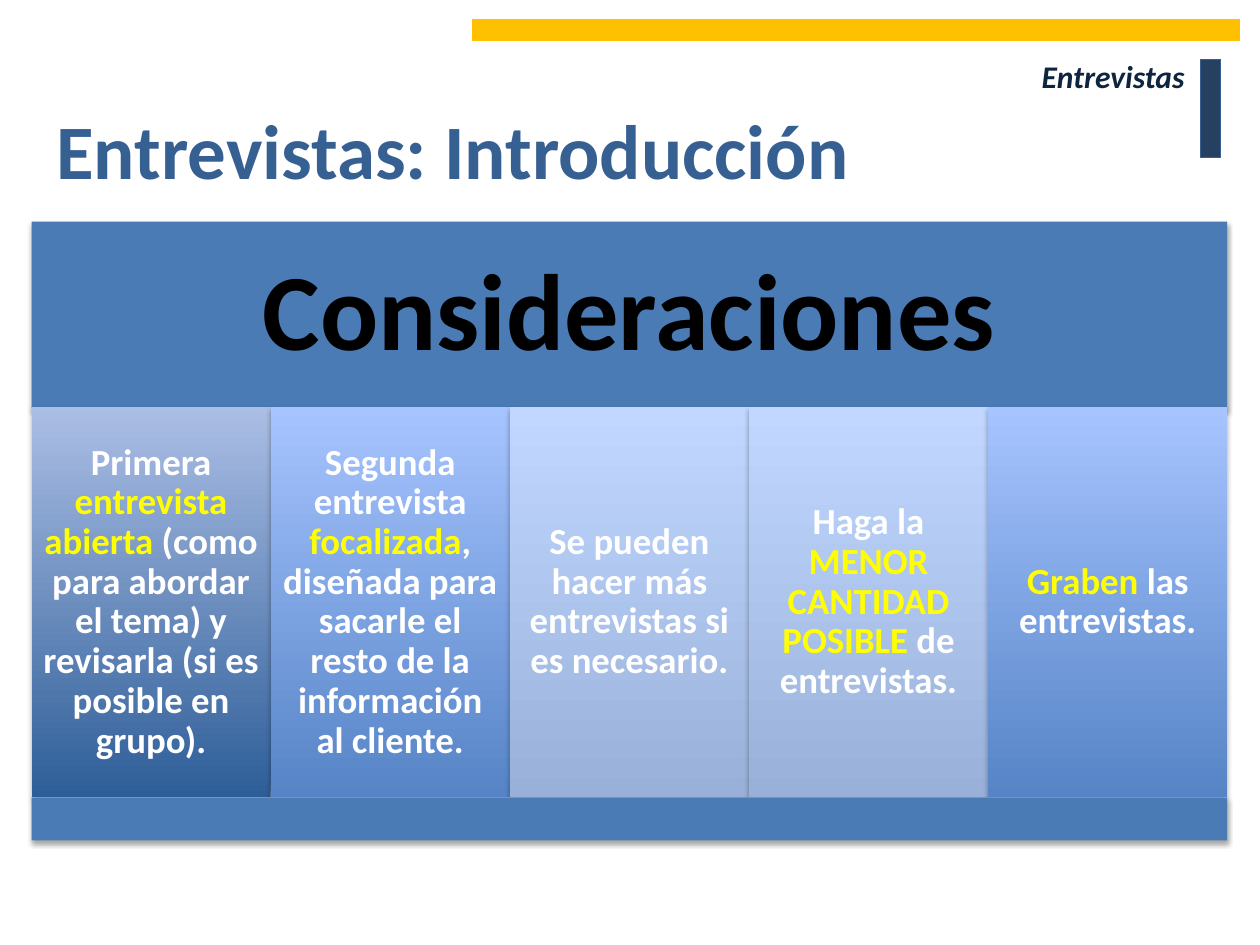
import dataclasses
from typing import Optional

import lxml.etree
import pptx
import pptx.dml.color
import pptx.enum.shapes
import pptx.enum.text
import pptx.oxml
import pptx.oxml.ns
import pptx.util

Inches = pptx.util.Inches
Pt = pptx.util.Pt
RGBColor = pptx.dml.color.RGBColor
PP_ALIGN = pptx.enum.text.PP_ALIGN
MIDDLE = pptx.enum.text.MSO_ANCHOR.MIDDLE

FONT = "Calibri"
WHITE = RGBColor(0xFF, 0xFF, 0xFF)
BLACK = RGBColor(0x00, 0x00, 0x00)
YELLOW = RGBColor(0xFF, 0xFF, 0x00)
GOLD = RGBColor(0xFF, 0xC0, 0x00)
NAVY = RGBColor(0x25, 0x40, 0x61)
INK = RGBColor(0x0F, 0x24, 0x3E)
BLUE = RGBColor(0x37, 0x60, 0x92)
BAND = RGBColor(0x4B, 0x7B, 0xB5)

# Column gradients, bottom colour then top colour
DEEP = (RGBColor(0x2E, 0x5E, 0x98), RGBColor(0xAB, 0xBE, 0xE5))
BRIGHT = (RGBColor(0x56, 0x84, 0xC6), RGBColor(0xA6, 0xC4, 0xFF))
PALE = (RGBColor(0x99, 0xB1, 0xD9), RGBColor(0xC1, 0xD7, 0xFF))

LEFT, WIDTH = 0.25, 9.49
HEADER_TOP, COLUMN_TOP, FOOTER_TOP = 1.76, 3.23, 6.33


@dataclasses.dataclass
class Column:
    gradient: tuple[RGBColor, RGBColor]
    before: str = ""
    key: str = ""
    after: str = ""


COLUMNS = [
    Column(DEEP, "Primera ", "entrevista abierta ",
           "(como para abordar el tema) y revisarla (si es posible en grupo)."),
    Column(BRIGHT, "Segunda entrevista ", "focalizada",
           ", diseñada para sacarle el resto de la información al cliente."),
    Column(PALE, "Se pueden hacer más entrevistas si es necesario."),
    Column(PALE, "Haga la ", "MENOR CANTIDAD POSIBLE ", "de entrevistas."),
    Column(BRIGHT, "", "Graben", " las entrevistas."),
]


def add_rect(s, x: float, y: float, w: float, h: float,
             fill: Optional[RGBColor] = None, line: Optional[RGBColor] = None):
    sp = s.shapes.add_shape(pptx.enum.shapes.MSO_SHAPE.RECTANGLE,
                            Inches(x), Inches(y), Inches(w), Inches(h))
    sp.shadow.inherit = False
    if fill is not None:
        sp.fill.solid()
        sp.fill.fore_color.rgb = fill
    if line is None:
        sp.line.fill.background()
    else:
        sp.line.color.rgb = line
        sp.line.width = Pt(0.75)
    return sp


def add_shadow(sp) -> None:
    effects = sp._element.spPr.find(pptx.oxml.ns.qn("a:effectLst"))
    effects.append(pptx.oxml.parse_xml(
        f'<a:outerShdw {pptx.oxml.ns.nsdecls("a")} blurRad="{Pt(3.1)}" '
        f'dist="{Pt(1.8)}" dir="5400000" rotWithShape="0">'
        '<a:srgbClr val="000000"><a:alpha val="35000"/></a:srgbClr>'
        '</a:outerShdw>'))


def set_text(sp, runs: list[tuple[str, RGBColor]], size: float,
             align: PP_ALIGN, inset: Optional[float] = None,
             wrap: bool = True, italic: bool = False):
    tf = sp.text_frame
    tf.word_wrap = wrap
    tf.vertical_anchor = MIDDLE
    if inset is not None:
        tf.margin_left = tf.margin_right = Inches(inset)
        tf.margin_top = tf.margin_bottom = Inches(inset)
    p = tf.paragraphs[0]
    p.alignment = align
    p.font.name, p.font.size = FONT, Pt(size)
    p.font.bold, p.font.italic = True, italic
    for text, color in runs:
        r = p.add_run()
        r.text = text
        r.font.color.rgb = color
    return p


def add_label(s, x: float, y: float, w: float, h: float, text: str,
              color: RGBColor, size: float, align: PP_ALIGN,
              wrap: bool = True, italic: bool = False):
    sp = s.shapes.add_textbox(Inches(x), Inches(y), Inches(w), Inches(h))
    set_text(sp, [(text, color)], size, align, wrap=wrap, italic=italic)
    return sp


def add_column(s, x: float, w: float, column: Column) -> None:
    sp = add_rect(s, x, COLUMN_TOP, w, FOOTER_TOP - COLUMN_TOP)
    sp.fill.gradient()
    sp.fill.gradient_angle = 90
    for stop, color in zip(sp.fill.gradient_stops, column.gradient):
        stop.color.rgb = color
    add_shadow(sp)
    parts = [(column.before, WHITE), (column.key, YELLOW), (column.after, WHITE)]
    p = set_text(sp, [part for part in parts if part[0]], 21,
                 PP_ALIGN.CENTER, inset=0.09)
    p.line_spacing = 0.9


def main() -> None:
    prs = pptx.Presentation()
    prs.slide_width, prs.slide_height = Inches(10), Inches(7.5)
    s = prs.slides.add_slide(prs.slide_layouts[6])

    # Corner decoration and titles
    add_rect(s, 9.53, 0.47, 0.16, 0.78, NAVY, BLUE)
    add_rect(s, 3.75, 0.16, 6.09, 0.16, GOLD, GOLD)
    add_label(s, 8.07, 0.3, 1.43, 0.61, "Entrevistas", INK, 18,
              PP_ALIGN.RIGHT, italic=True)
    title = add_label(s, 0.35, 0.76, 6.6, 0.84, "Entrevistas: Introducción",
                      BLUE, 44, PP_ALIGN.LEFT, wrap=False)
    title.text_frame.auto_size = pptx.enum.text.MSO_AUTO_SIZE.SHAPE_TO_FIT_TEXT

    # Header band
    header = add_rect(s, LEFT, HEADER_TOP, WIDTH, 1.48, BAND)
    add_shadow(header)
    p = set_text(header, [("Consideraciones", BLACK)], 62, PP_ALIGN.CENTER,
                 inset=0.26)
    p.line_spacing = 0.9

    # Equal columns
    w = WIDTH / len(COLUMNS)
    for i, column in enumerate(COLUMNS):
        add_column(s, LEFT + i * w, w, column)

    # Footer band
    add_shadow(add_rect(s, LEFT, FOOTER_TOP, WIDTH, 0.34, BAND))

    prs.save("out.pptx")


if __name__ == "__main__":
    main()
